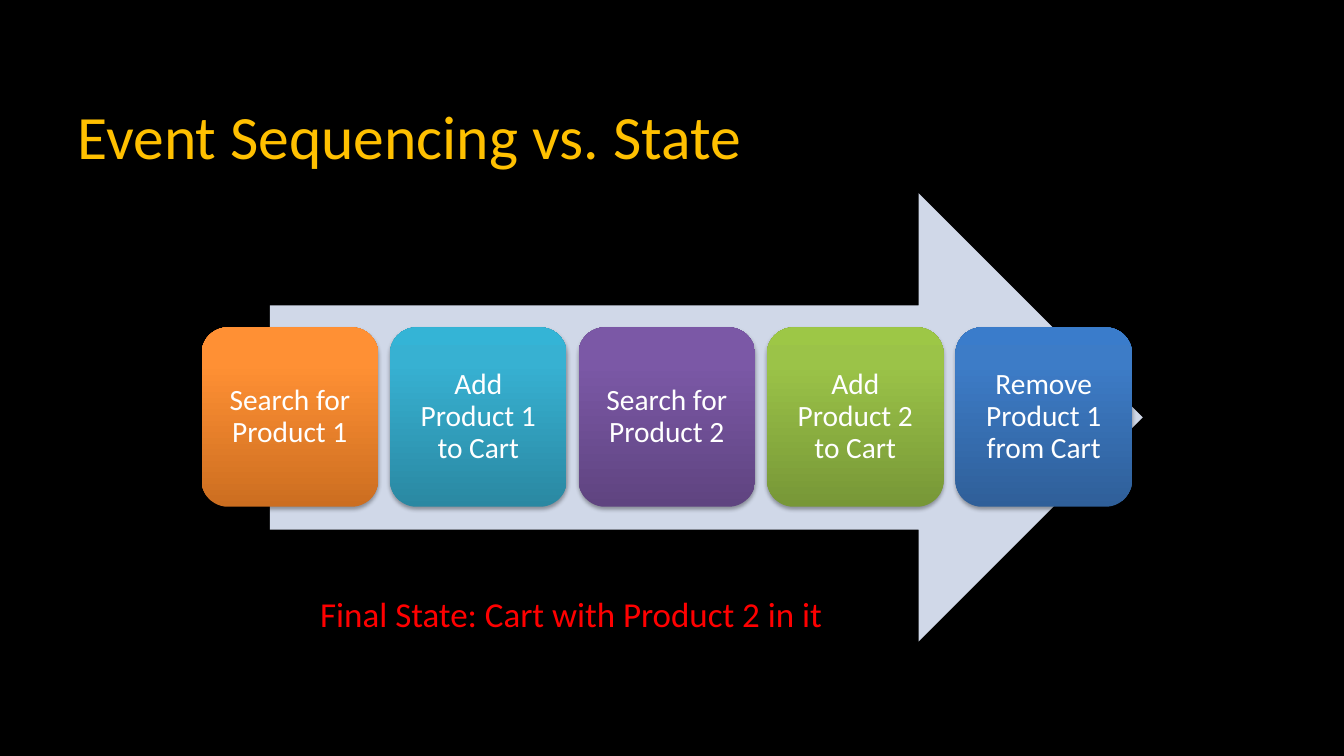
from dataclasses import dataclass

from lxml import etree
from pptx import Presentation
from pptx.dml.color import RGBColor
from pptx.enum.shapes import MSO_SHAPE
from pptx.enum.text import MSO_ANCHOR, MSO_AUTO_SIZE, PP_ALIGN
from pptx.oxml import parse_xml
from pptx.oxml.ns import nsdecls, qn
from pptx.util import Cm, Pt

RIGHT_ARROW = MSO_SHAPE.RIGHT_ARROW
ROUNDED = MSO_SHAPE.ROUNDED_RECTANGLE
MIDDLE = MSO_ANCHOR.MIDDLE
LEFT, CENTER = PP_ALIGN.LEFT, PP_ALIGN.CENTER
FIT_SHAPE = MSO_AUTO_SIZE.SHAPE_TO_FIT_TEXT
TITLE_ONLY = 5


@dataclass(frozen=True)
class Theme:
    font: str = "Calibri"
    background: str = "000000"
    title: str = "FFC000"
    arrow: str = "D0D8E8"
    step_text: str = "FFFFFF"
    result: str = "FF0000"
    title_size: int = 44
    step_size: int = 21
    result_size: int = 25


THEME = Theme()

# Step wording with gradient colours from bottom to top
STEPS = [
    ("Search for Product 1", ("CC6E20", "FF9034", "FF9136")),
    ("Add Product 1 to Cart", ("2A88A2", "37B1D2", "34B4D6")),
    ("Search for Product 2", ("5F4480", "7B58A6", "7C57A8")),
    ("Add Product 2 to Cart", ("779737", "9BC348", "9DC746")),
    ("Remove Product 1 from Cart", ("2F5F99", "3D7CC7", "3A7CCB")),
]
STOPS = (0, 80000, 100000)
STEP_LEFT, STEP_TOP, STEP_PITCH = 5.08, 8.25, 4.75
STEP_WIDTH, STEP_HEIGHT = 4.45, 4.52


def write(tf, text, size, color, align=LEFT):
    tf.text = text
    p = tf.paragraphs[0]
    p.alignment = align
    font = p.runs[0].font
    font.name, font.size = THEME.font, Pt(size)
    font.color.rgb = RGBColor.from_string(color)


def set_gradient(sp, colors):
    stops = "".join(
        f'<a:gs pos="{pos}"><a:srgbClr val="{color}"/></a:gs>'
        for pos, color in zip(STOPS, colors))
    sp.fill.gradient()
    fill = sp._element.spPr.find(qn("a:gradFill"))
    gradient = parse_xml(
        f'<a:gradFill {nsdecls("a")} rotWithShape="1"><a:gsLst>{stops}</a:gsLst>'
        '<a:lin ang="16200000" scaled="0"/></a:gradFill>')
    fill.getparent().replace(fill, gradient)


def add_shadow(sp):
    effects = sp._element.spPr.find(qn("a:effectLst"))
    shadow = etree.SubElement(effects, qn("a:outerShdw"), blurRad="40000",
                              dist="23000", dir="5400000", rotWithShape="0")
    color = etree.SubElement(shadow, qn("a:srgbClr"), val="000000")
    etree.SubElement(color, qn("a:alpha"), val="35000")


def add_plain_shape(s, kind, left, top, width, height):
    sp = s.shapes.add_shape(kind, Cm(left), Cm(top), Cm(width), Cm(height))
    sp.shadow.inherit = False
    sp.line.fill.background()
    return sp


def add_title(s, text):
    sp = s.shapes.title
    sp.left, sp.top, sp.width, sp.height = Cm(1.7), Cm(2.12), Cm(30.48), Cm(2.54)
    tf = sp.text_frame
    tf.vertical_anchor = MIDDLE
    write(tf, text, THEME.title_size, THEME.title)


def add_arrow(s):
    sp = add_plain_shape(s, RIGHT_ARROW, 6.8, 4.87, 22, 11.3)
    sp.fill.solid()
    sp.fill.fore_color.rgb = RGBColor.from_string(THEME.arrow)


def add_step(s, index, text, colors):
    sp = add_plain_shape(s, ROUNDED, STEP_LEFT + index * STEP_PITCH, STEP_TOP,
                         STEP_WIDTH, STEP_HEIGHT)
    sp.adjustments[0] = 0.15
    set_gradient(sp, colors)
    add_shadow(sp)
    tf = sp.text_frame
    tf.word_wrap = True
    tf.vertical_anchor = MIDDLE
    tf.margin_left = tf.margin_right = tf.margin_top = tf.margin_bottom = Cm(0.2)
    write(tf, text, THEME.step_size, THEME.step_text, CENTER)
    tf.paragraphs[0].line_spacing = 0.9


def add_result(s, text):
    sp = s.shapes.add_textbox(Cm(7.82), Cm(14.81), Cm(13.51), Cm(1.32))
    tf = sp.text_frame
    tf.word_wrap = False
    tf.auto_size = FIT_SHAPE
    write(tf, text, THEME.result_size, THEME.result)


def main():
    prs = Presentation()
    prs.slide_width, prs.slide_height = Cm(33.87), Cm(19.05)
    s = prs.slides.add_slide(prs.slide_layouts[TITLE_ONLY])
    s.background.fill.solid()
    s.background.fill.fore_color.rgb = RGBColor.from_string(THEME.background)

    # Title
    add_title(s, "Event Sequencing vs. State")

    # Event sequence on its arrow
    add_arrow(s)
    for index, (text, colors) in enumerate(STEPS):
        add_step(s, index, text, colors)

    # Resulting state
    add_result(s, "Final State: Cart with Product 2 in it")
    prs.save("out.pptx")


if __name__ == "__main__":
    main()
